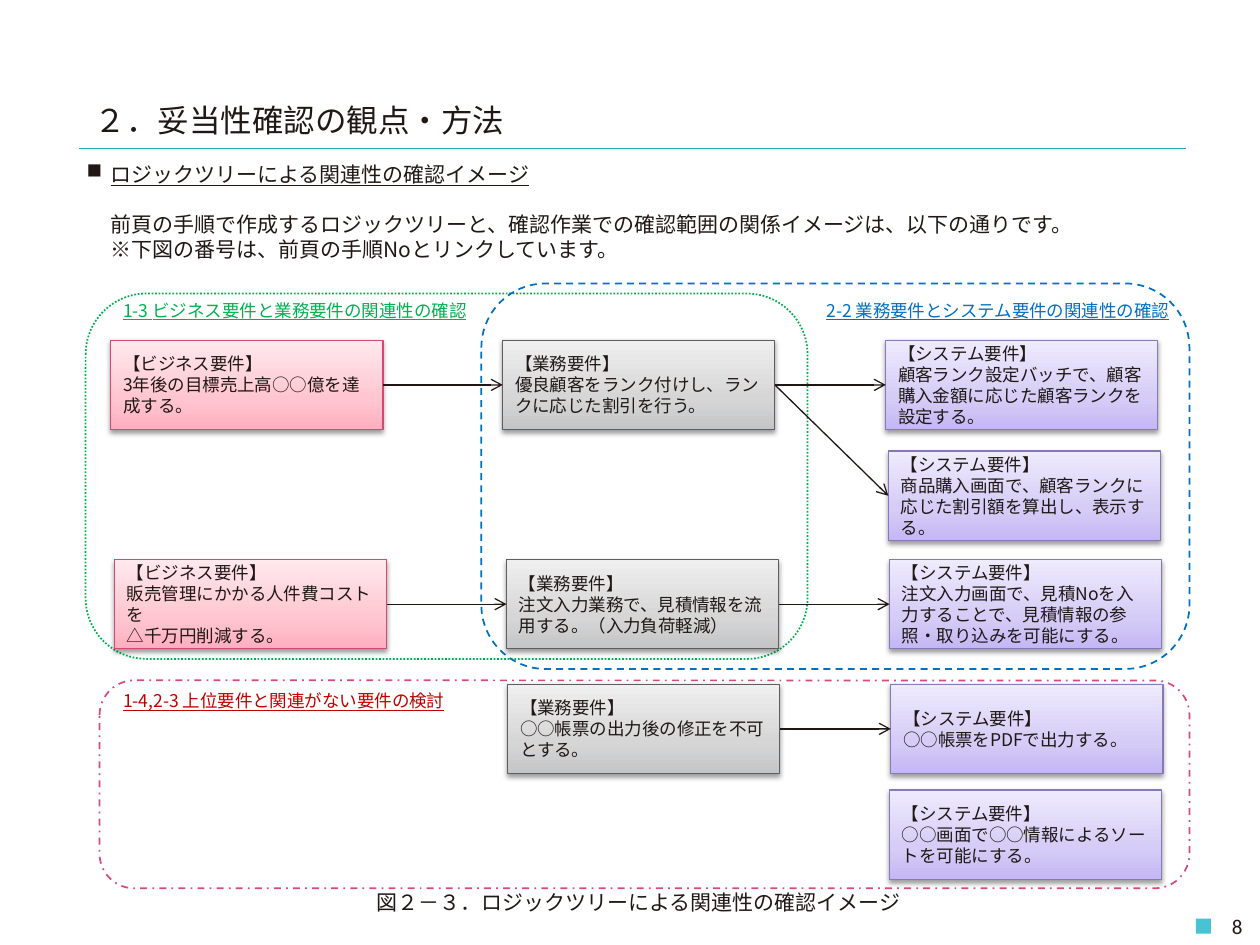
"""Build the slide on checking relations between requirements with a logic tree."""
import pptx
import pptx.util
import pptx.oxml
import pptx.dml.color
import pptx.enum.dml
import pptx.enum.shapes
import pptx.enum.text

Inches, Pt = pptx.util.Inches, pptx.util.Pt
Shape, Dash = pptx.enum.shapes.MSO_SHAPE, pptx.enum.dml.MSO_LINE
Align, Anchor = pptx.enum.text.PP_ALIGN, pptx.enum.text.MSO_ANCHOR
NAMESPACE = 'xmlns:a="http://schemas.openxmlformats.org/drawingml/2006/main"'

THEME = {
    "font": "Noto Sans CJK JP", "number_font": "Calibri",
    "title": 18, "body": 12, "small": 10,
    "ink": "201815", "arrow": "201714", "rule": "1BADBD", "marker": "47C3D3",
    "green": "00B050", "blue": "0070C0", "pink": "D74C77", "red": "C00000",
}
KINDS = {
    "business": ("【ビジネス要件】", 0.88, "D64773", ("FFAFBF", "FFC6D1", "FFE9ED")),
    "work": ("【業務要件】", 3.99, "5D5E60", ("C4C5C6", "D6D6D7", "EFEFF0")),
    "system": ("【システム要件】", 7.03, "8778B7", ("C4B7F4", "D5CCF7", "EEEBFD")),
}
ROWS = [(2.70, 0), (3.58, 0.02), (4.44, 0.03), (5.43, 0.04), (6.27, 0.03)]
BOX_SIZE = (2.16, 0.71)

TITLE = "２．妥当性確認の観点・方法"
HEADING = "ロジックツリーによる関連性の確認イメージ"
EXPLANATION = [
    "前頁の手順で作成するロジックツリーと、確認作業での確認範囲の関係イメージは、以下の通りです。",
    "※下図の番号は、前頁の手順Noとリンクしています。",
]
CAPTION = "図２－３．ロジックツリーによる関連性の確認イメージ"
FRAMES = [
    ((0.68, 2.33, 5.73, 2.90), "green", Dash.ROUND_DOT),
    ((3.82, 2.25, 5.62, 3.06), "blue", Dash.DASH),
    ((0.79, 5.40, 8.65, 1.65), "pink", Dash.DASH_DOT),
]
LABELS = [
    ((0.88, 2.33, 3.20, 0.32), "1-3 ビジネス要件と業務要件の関連性の確認", "green"),
    ((0.88, 5.43, 3.23, 0.24), "1-4,2-3 上位要件と関連がない要件の検討", "red"),
    ((6.46, 2.33, 2.98, 0.24), "2-2 業務要件とシステム要件の関連性の確認", "blue"),
]
REQUIREMENTS = {
    ("business", 0): ["3年後の目標売上高○○億を達成する。"],
    ("work", 0): ["優良顧客をランク付けし、ランクに応じた割引を行う。"],
    ("system", 0): ["顧客ランク設定バッチで、顧客購入金額に応じた顧客ランクを設定する。"],
    ("system", 1): ["商品購入画面で、顧客ランクに応じた割引額を算出し、表示する。"],
    ("business", 2): ["販売管理にかかる人件費コストを", "△千万円削減する。"],
    ("work", 2): ["注文入力業務で、見積情報を流用する。（入力負荷軽減）"],
    ("system", 2): ["注文入力画面で、見積Noを入力することで、見積情報の参照・取り込みを可能にする。"],
    ("work", 3): ["○○帳票の出力後の修正を不可とする。"],
    ("system", 3): ["○○帳票をPDFで出力する。"],
    ("system", 4): ["○○画面で○○情報によるソートを可能にする。"],
}
LINKS = [
    (("business", 0), ("work", 0)), (("work", 0), ("system", 0)),
    (("work", 0), ("system", 1)), (("business", 2), ("work", 2)),
    (("work", 2), ("system", 2)), (("work", 3), ("system", 3)),
]


def color(name):
    return pptx.dml.color.RGBColor.from_string(THEME.get(name, name))


def element(xml):
    return pptx.oxml.parse_xml(xml.replace(">", f" {NAMESPACE}>", 1))


def write(box, lines, size, ink="ink", font="font", underline=False, align=Align.LEFT):
    frame = box.text_frame
    for index, text in enumerate(lines):
        para = frame.paragraphs[0] if index == 0 else frame.add_paragraph()
        para.alignment = align
        span = para.add_run()
        span.text = text
        span.font.name = THEME[font]
        span.font.size = Pt(THEME[size])
        span.font.color.rgb = color(ink)
        span.font.underline = underline
        latin = span.font._element.find(pptx.oxml.ns.qn("a:latin"))
        latin.addnext(element(f'<a:ea typeface="{THEME[font]}"></a:ea>'))
    return frame


def add_text(page, area, lines, size, wrap=True, **style):
    box = page.shapes.add_textbox(*map(Inches, area))
    box.text_frame.word_wrap = wrap
    return write(box, lines, size, **style)


def add_outline(page, area, ink, dash):
    shape = page.shapes.add_shape(Shape.ROUNDED_RECTANGLE, *map(Inches, area))
    shape.shadow.inherit = False
    shape.fill.background()
    shape.line.color.rgb = color(ink)
    shape.line.width = Pt(1)
    shape.line.dash_style = dash


def add_requirement(page, kind, row, lines):
    heading, left, edge, shades = KINDS[kind]
    top, shift = ROWS[row]
    box = page.shapes.add_shape(Shape.RECTANGLE, *map(Inches, (left + shift, top, *BOX_SIZE)))
    box.line.color.rgb = color(edge)
    box.line.width = Pt(0.75)
    stops = "".join(f'<a:gs pos="{place}"><a:srgbClr val="{shade}"/></a:gs>'
                    for place, shade in zip((0, 35000, 100000), shades))
    box._element.spPr.find(pptx.oxml.ns.qn("a:ln")).addprevious(element(
        f'<a:gradFill><a:gsLst>{stops}</a:gsLst><a:lin ang="16200000" scaled="0"/></a:gradFill>'))
    box._element.spPr.append(element(
        f'<a:effectLst><a:outerShdw blurRad="{Pt(3.1)}" dist="{Pt(1.6)}" dir="5400000" rotWithShape="0">'
        '<a:srgbClr val="000000"><a:alpha val="38000"/></a:srgbClr></a:outerShdw></a:effectLst>'))
    write(box, [heading, *lines], "small").vertical_anchor = Anchor.MIDDLE
    return box


def add_line(page, points, ink, width):
    line = page.shapes.add_connector(pptx.enum.shapes.MSO_CONNECTOR.STRAIGHT, *map(Inches, points))
    line.line.color.rgb = color(ink)
    line.line.width = Pt(width)
    line._element.spPr.append(element("<a:effectLst></a:effectLst>"))
    return line


def add_arrow(page, source, target):
    arrow = add_line(page, (0, 0, 0, 0), "arrow", 0.75)
    arrow.begin_connect(source, 3)
    arrow.end_connect(target, 1)
    arrow.line._get_or_add_ln().append(element('<a:tailEnd type="arrow"></a:tailEnd>'))


deck = pptx.Presentation()
deck.slide_width, deck.slide_height = Inches(10), Inches(7.5)
page = deck.slides.add_slide(deck.slide_layouts[5])

title = page.shapes.title
title.left, title.top, title.width, title.height = map(Inches, (0.65, 0.76, 7.34, 0.39))
write(title, [TITLE], "title").vertical_anchor = Anchor.MIDDLE
add_line(page, (0.63, 1.18, 9.41, 1.18), "rule", 0.25)

marker = page.shapes.add_shape(Shape.RECTANGLE, *map(Inches, (9.49, 7.29, 0.12, 0.12)))
marker.shadow.inherit = False
marker.fill.solid()
marker.fill.fore_color.rgb = color("marker")
marker.line.fill.background()
add_text(page, (8.57, 7.2, 1.39, 0.31), ["8"], "body", font="number_font", align=Align.RIGHT)

for area, ink, dash in FRAMES:
    add_outline(page, area, ink, dash)
for area, text, ink in LABELS:
    add_text(page, area, [text], "small", wrap=False, ink=ink, underline=True)
add_text(page, (0.88, 7.01, 8.38, 0.3), [CAPTION], "body", align=Align.CENTER)

intro = add_text(page, (0.59, 1.23, 8.9, 0.91), [HEADING, *EXPLANATION], "body")
for para in intro.paragraphs:
    para._p.get_or_add_pPr().set("marL", str(Inches(0.19)))
heading, explanation = intro.paragraphs[:2]
heading.runs[0].font.underline = True
heading._p.pPr.set("indent", str(Inches(-0.19)))
heading._p.pPr.append(element('<a:buChar char="■"></a:buChar>'))
explanation.space_before = Pt(14.5)

boxes = {key: add_requirement(page, *key, lines) for key, lines in REQUIREMENTS.items()}
for source, target in LINKS:
    add_arrow(page, boxes[source], boxes[target])

deck.save("out.pptx")
